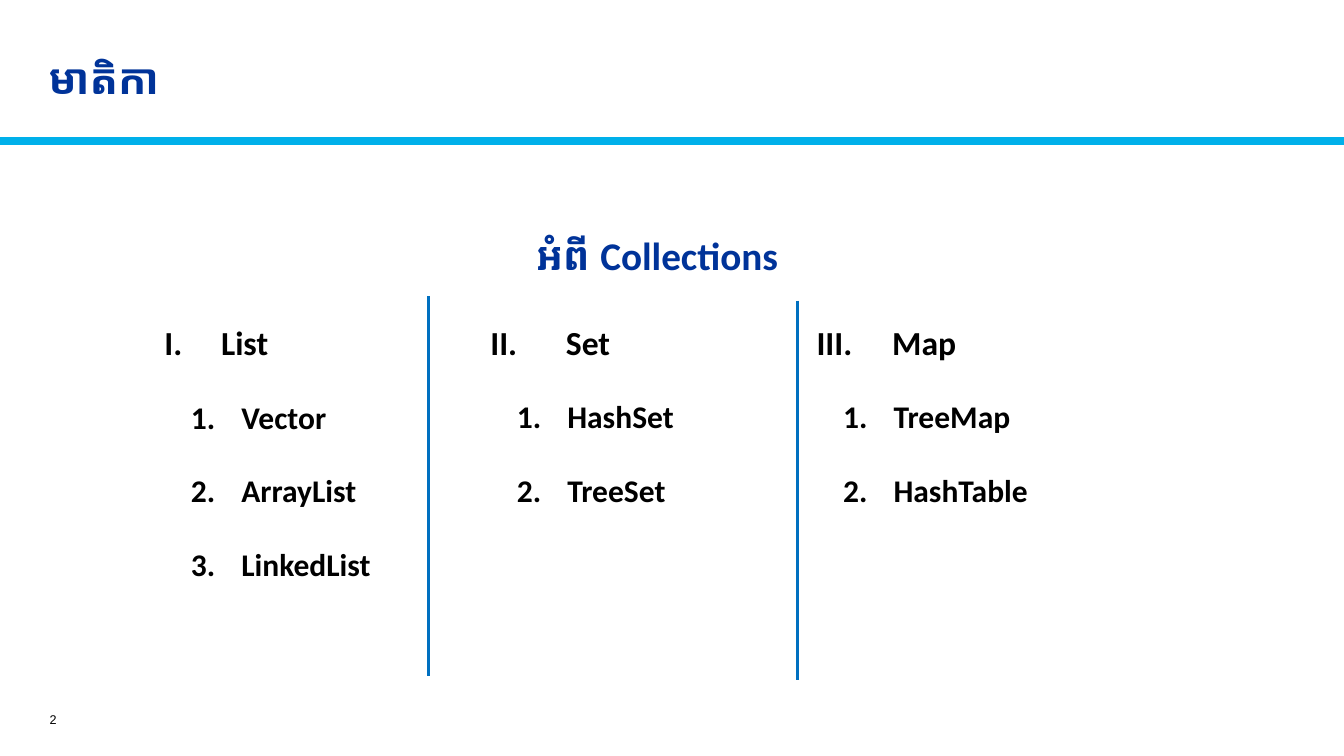
"""Build the contents slide on collections: a title and three numbered columns."""
from dataclasses import dataclass

from lxml.etree import SubElement
from pptx import Presentation
from pptx.dml.color import RGBColor
from pptx.enum.shapes import MSO_CONNECTOR as Connector
from pptx.enum.text import MSO_ANCHOR as Anchor, MSO_AUTO_SIZE as AutoSize, PP_ALIGN as Align
from pptx.oxml.ns import qn
from pptx.util import Pt


@dataclass(frozen=True)
class Theme:
    heading: str = "003399"
    text: str = "000000"
    band: str = "00B0EA"
    divider: str = "0070C0"
    font: str = "Calibri"
    number_font: str = "Arial"
    title_size: float = 30
    subtitle_size: float = 28
    column_size: float = 24
    item_size: float = 22.5
    number_size: float = 9


theme = Theme()


def add_run(paragraph, text, size, colour, font=theme.font, bold=True):
    run = paragraph.add_run()
    run.text = text
    run.font.name = font
    run.font.size = Pt(size)
    run.font.bold = bold
    run.font.color.rgb = RGBColor.from_string(colour)


def set_number(paragraph, scheme, start, left, hanging):
    properties = paragraph._p.get_or_add_pPr()
    properties.set("marL", str(Pt(left)))
    properties.set("indent", str(-Pt(hanging)))
    colour = SubElement(properties, qn("a:buClr"))
    SubElement(colour, qn("a:srgbClr"), val=theme.text)
    SubElement(properties, qn("a:buFont"), typeface="+mj-lt")
    SubElement(properties, qn("a:buAutoNum"), type=scheme, startAt=str(start))


presentation = Presentation()
presentation.slide_width, presentation.slide_height = Pt(960), Pt(540)
slide = presentation.slides.add_slide(presentation.slide_layouts[1])
shapes = slide.shapes

title = shapes.title
title.left, title.top, title.width, title.height = Pt(27.4), Pt(28), Pt(649.5), Pt(60)
title.text_frame.auto_size = AutoSize.NONE
title.text_frame.vertical_anchor = Anchor.MIDDLE
paragraph = title.text_frame.paragraphs[0]
paragraph.alignment = Align.LEFT
paragraph.line_spacing = 0.9
add_run(paragraph, "មាតិកា", theme.title_size, theme.heading)

subtitle = shapes.add_textbox(Pt(375.8), Pt(144.7), Pt(193.7), Pt(54))
subtitle.text_frame.word_wrap = False
subtitle.text_frame.auto_size = AutoSize.SHAPE_TO_FIT_TEXT
paragraph = subtitle.text_frame.paragraphs[0]
paragraph.line_spacing = 1.5
add_run(paragraph, "អំពី Collections", theme.subtitle_size, theme.heading)

columns = [
    ("List", 40.5, ["Vector", "ArrayList", "LinkedList"]),
    ("Set", 54, ["HashSet", "TreeSet"]),
    ("Map", 54, ["TreeMap", "HashTable"]),
]
column_left, column_top, column_pitch = 110.2, 211.7, 233
column_width, column_height = 225, 300

for index, (heading, indent, items) in enumerate(columns):
    left = Pt(column_left + index * column_pitch)
    if index == 0:
        column = slide.placeholders[1]
        column.left, column.top = left, Pt(column_top)
        column.width, column.height = Pt(column_width), Pt(column_height)
    else:
        column = shapes.add_textbox(left, Pt(column_top), Pt(column_width), Pt(column_height))
    frame = column.text_frame
    frame.word_wrap = True
    frame.auto_size = AutoSize.NONE

    paragraph = frame.paragraphs[0]
    set_number(paragraph, "romanUcPeriod", index + 1, indent, indent)
    paragraph.line_spacing = 1.5
    paragraph.space_before = Pt(0)
    add_run(paragraph, heading, theme.column_size, theme.text)

    for item in items:
        paragraph = frame.add_paragraph()
        paragraph.level = 1
        set_number(paragraph, "arabicPeriod", 1, 55, 36)
        paragraph.line_spacing = 1.5
        paragraph.space_before = Pt(12)
        add_run(paragraph, item, theme.item_size, theme.text)

lines = [
    (0, 100.8, 960, 100.8, theme.band, 6),
    (306, 211.7, 306, 482.6, theme.divider, 2.25),
    (569.5, 214.8, 569.5, 485.8, theme.divider, 2.25),
]
for start_x, start_y, end_x, end_y, colour, weight in lines:
    line = shapes.add_connector(Connector.STRAIGHT, Pt(start_x), Pt(start_y), Pt(end_x), Pt(end_y))
    line.line.color.rgb = RGBColor.from_string(colour)
    line.line.width = Pt(weight)
    SubElement(line._element.spPr, qn("a:effectLst"))

number = shapes.add_textbox(Pt(6.5), Pt(503.3), Pt(41), Pt(21.6))
number.text_frame.word_wrap = True
number.text_frame.vertical_anchor = Anchor.MIDDLE
paragraph = number.text_frame.paragraphs[0]
paragraph.alignment = Align.RIGHT
add_run(paragraph, "2", theme.number_size, theme.text, theme.number_font, bold=False)

presentation.save("out.pptx")
